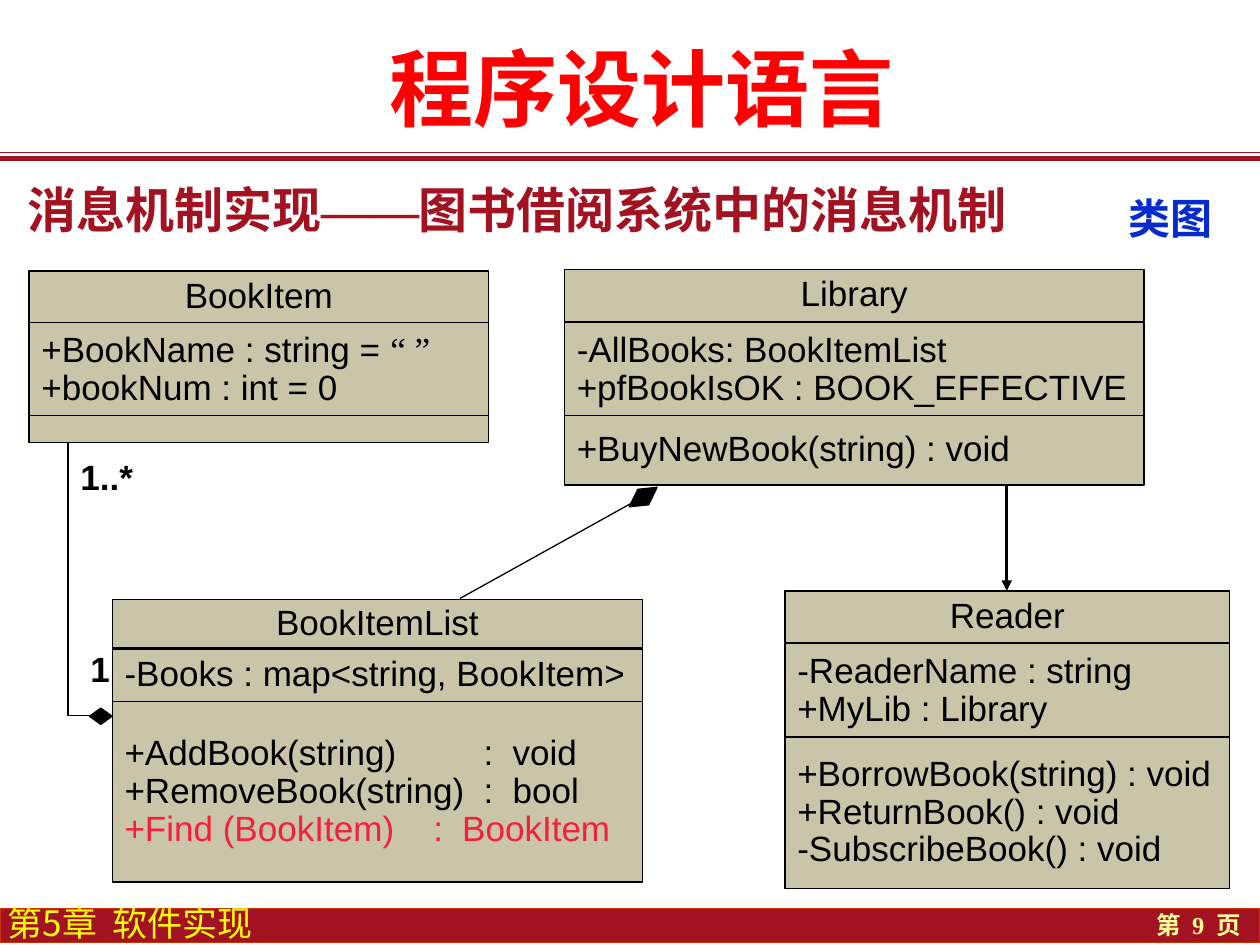
from lxml.etree import SubElement
from pptx import Presentation
from pptx.dml.color import RGBColor
from pptx.enum.shapes import MSO_CONNECTOR, MSO_SHAPE
from pptx.enum.text import MSO_ANCHOR, PP_ALIGN
from pptx.oxml.ns import qn
from pptx.util import Inches, Pt

RED, TAN, BLACK, PINK = "A31221", "CAC4A8", "000000", "F61E3D"
SANS, SERIF, HAN = "Arial", "Times New Roman", "Noto Sans CJK SC"
BODY = {"size": Pt(20), "name": SANS}


def tint(color, code):
    """Set a colour from a hex string."""
    color.rgb = RGBColor.from_string(code)


def put(obj, vals):
    """Set attributes from a dict."""
    for key, val in vals.items():
        setattr(obj, key, val)


def write(para, text, look, code=BLACK, han=HAN):
    """Add one formatted run to a paragraph."""
    run = para.add_run()
    run.text = text
    put(run.font, look)
    tint(run.font.color, code)
    SubElement(run.font._element, qn("a:ea"), typeface=han)


def tabs(para, stops):
    """Give a paragraph left tab stops in inches."""
    group = SubElement(para._p.get_or_add_pPr(), qn("a:tabLst"))
    for stop in stops:
        SubElement(group, qn("a:tab"), pos=str(Inches(stop)), algn="l")


def label(slide, box, text, look, code, form=None, frame=None):
    """Add a one-line text box and return its paragraph."""
    area = slide.shapes.add_textbox(*map(Inches, box)).text_frame
    put(area, {"word_wrap": True, **(frame or {})})
    para = area.paragraphs[0]
    put(para, form or {})
    write(para, text, look, code)
    return para


def block(slide, box, fill, kind=MSO_SHAPE.RECTANGLE, edge=BLACK, turn=0):
    """Add a filled, outlined shape."""
    shape = slide.shapes.add_shape(kind, *map(Inches, box))
    shape.shadow.inherit = False
    shape.fill.solid()
    tint(shape.fill.fore_color, fill)
    tint(shape.line.color, edge)
    put(shape, {"rotation": turn})
    shape.line.width = Pt(0.75)
    return shape


def link(slide, ends, code=BLACK, width=0.75, arrow=False):
    """Draw a straight line, with an arrowhead if asked."""
    line = slide.shapes.add_connector(MSO_CONNECTOR.STRAIGHT, *map(Inches, ends))
    tint(line.line.color, code)
    line.line.width = Pt(width)
    if arrow:
        SubElement(line.line._get_or_add_ln(), qn("a:tailEnd"), type="triangle")
    SubElement(line._element.spPr, qn("a:effectLst"))


def cell(slide, box, rows, align):
    """Draw one compartment of a class box."""
    area = block(slide, box, TAN).text_frame
    tabbed = any(row[2:] for row in rows)
    put(area, {"word_wrap": tabbed, "vertical_anchor": MSO_ANCHOR.MIDDLE})
    for num, (text, code, *stops) in enumerate(rows):
        para = area.add_paragraph() if num else area.paragraphs[0]
        put(para, {"alignment": align, "line_spacing": 0.9})
        if stops:
            tabs(para, stops)
        main, quote, rest = text.partition("“")
        write(para, main, BODY, code)
        if quote:
            write(para, quote + rest, {**BODY, "name": SERIF}, code, SERIF)


def entity(slide, box, name, parts):
    """Draw a class box: name, then (offset, height, rows) parts."""
    left, top, width, height = box
    cell(slide, box, [(name, BLACK)], PP_ALIGN.CENTER)
    for down, tall, rows in parts:
        cell(slide, (left, top + down, width, tall), rows, PP_ALIGN.LEFT)


def plain(*texts):
    """Make black rows from texts."""
    return [(text, BLACK) for text in texts]


def header(slide):
    """Place the title, its rules and the headings."""
    title = slide.shapes.title
    put(title, dict(zip(("left", "top", "width", "height"),
                        map(Inches, (1.89, 0.24, 6.4, 0.9)))))
    put(title.text_frame, {"vertical_anchor": MSO_ANCHOR.TOP, "word_wrap": True})
    para = title.text_frame.paragraphs[0]
    para.alignment = PP_ALIGN.CENTER
    write(para, "程序设计语言", {"size": Pt(48), "name": SERIF, "bold": True}, "FF0000")
    link(slide, (0, 1.21, 10, 1.21), RED)
    link(slide, (0, 1.26, 10, 1.26), RED, 3)
    look = {"size": Pt(28), "name": SANS, "bold": True}
    para = label(slide, (0.12, 1.28, 8.49, 0.66), "消息机制实现", look, RED,
                 {"line_spacing": 1.2})
    write(para, "——", {**look, "name": SERIF}, RED, SERIF)
    write(para, "图书借阅系统中的消息机制", look, RED)
    label(slide, (8.86, 1.4, 0.97, 0.54), "类图", {**look, "size": Pt(24)},
          "052BCF", {"line_spacing": 1.2})


def footer(slide):
    """Place the bottom bar with chapter and page."""
    block(slide, (0, 7.21, 10, 0.27), RED, edge="CC3300")
    label(slide, (8.43, 7.17, 1.52, 0.33), "第  9  页",
          {"size": Pt(14), "name": SERIF, "bold": True}, "FFFF99",
          {"alignment": PP_ALIGN.RIGHT})
    sides = ("left", "right", "top", "bottom")
    label(slide, (0.06, 7.24, 3, 0.25), "第5章  软件实现",
          {"size": Pt(20), "name": HAN}, "FFFF00", {"line_spacing": 0.85},
          {"vertical_anchor": MSO_ANCHOR.BOTTOM,
           **{"margin_" + side: 0 for side in sides}})


def diagram(slide):
    """Draw the classes and the links between them."""
    entity(slide, (0.23, 2.15, 3.65, 0.41), "BookItem", [
        (0.41, 0.75, plain("+BookName : string = “ ”", "+bookNum : int = 0")),
        (1.15, 0.21, [])])
    entity(slide, (0.89, 4.76, 4.21, 0.38), "BookItemList", [
        (0.39, 0.42, plain("-Books : map<string, BookItem>")),
        (0.81, 1.43, [("+AddBook(string)\t:\tvoid", BLACK, 2.85, 3.08),
                      ("+RemoveBook(string)\t:\tbool", BLACK, 2.85, 3.08),
                      ("+Find (BookItem)\t:\tBookItem", PINK, 2.45, 2.68)])])
    entity(slide, (4.48, 2.14, 4.6, 0.41), "Library", [
        (0.42, 0.75, plain("-AllBooks: BookItemList",
                           "+pfBookIsOK : BOOK_EFFECTIVE")),
        (1.16, 0.55, plain("+BuyNewBook(string) : void"))])
    entity(slide, (6.23, 4.69, 3.53, 0.41), "Reader", [
        (0.42, 0.75, plain("-ReaderName : string", "+MyLib : Library")),
        (1.16, 1.2, plain("+BorrowBook(string) : void", "+ReturnBook() : void",
                          "-SubscribeBook() : void"))])
    for ends in ((0.54, 3.51, 0.54, 5.68), (0.54, 5.68, 0.72, 5.68),
                 (3.65, 4.75, 5.18, 3.9)):
        link(slide, ends)
    link(slide, (7.99, 3.86, 7.99, 4.69), width=1.5, arrow=True)
    for box, turn in (((0.71, 5.62, 0.18, 0.13), 0), ((5.03, 3.81, 0.15, 0.27), 55)):
        block(slide, box, BLACK, MSO_SHAPE.DIAMOND, turn=turn)
    for box, text in (((0.54, 3.6, 0.62, 0.4), "1..*"), ((0.62, 5.13, 0.36, 0.4), "1")):
        label(slide, box, text, {**BODY, "bold": True}, BLACK,
              {"line_spacing": 0.9}, {"word_wrap": False})


def main():
    """Build and save the slide."""
    deck = Presentation()
    put(deck, {"slide_width": Inches(10), "slide_height": Inches(7.5)})
    slide = deck.slides.add_slide(deck.slide_layouts[5])
    for draw in (header, footer, diagram):
        draw(slide)
    deck.save("out.pptx")


main()
